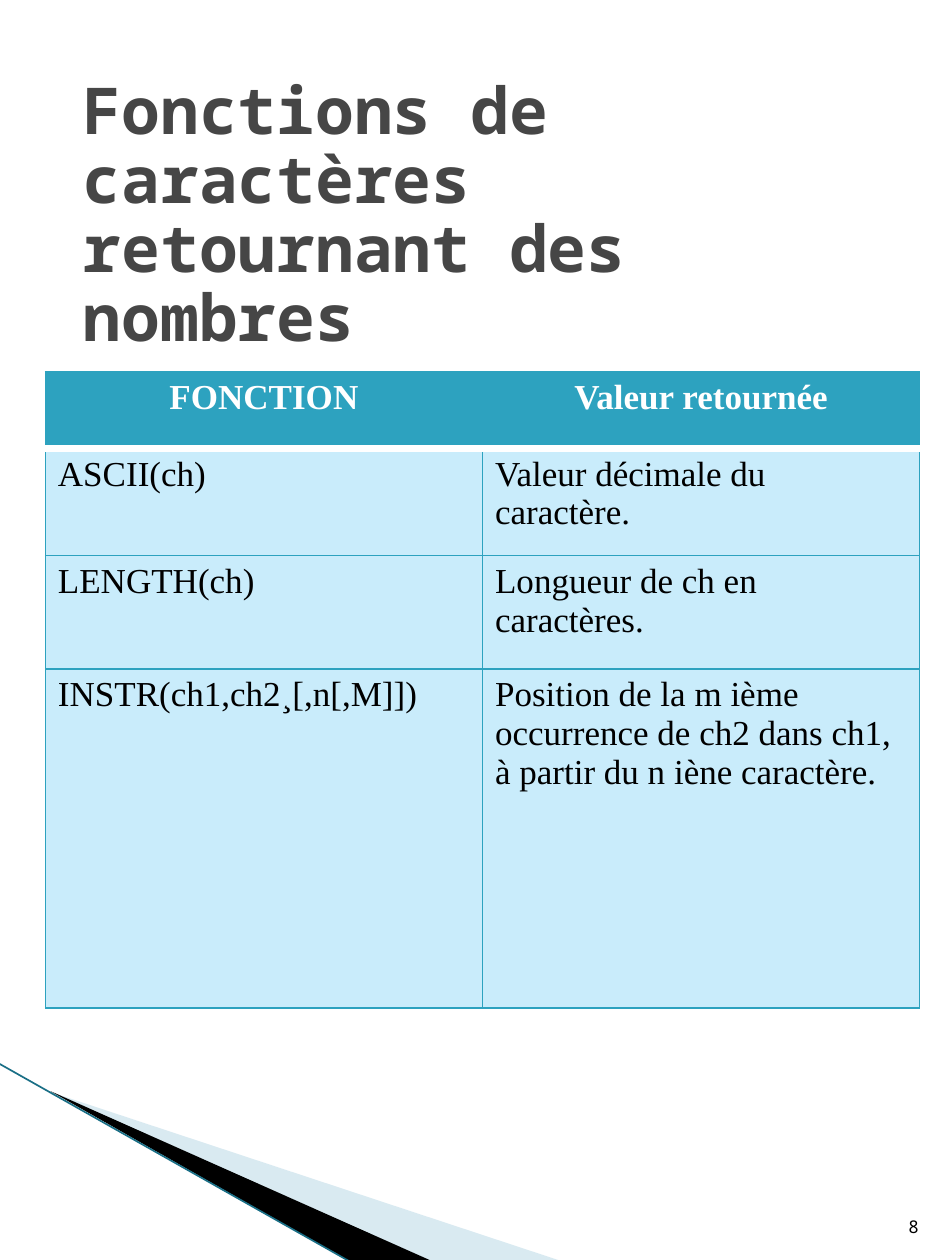
from lxml.etree import SubElement
from pptx import Presentation
from pptx.dml.color import RGBColor
from pptx.enum.shapes import MSO_CONNECTOR
from pptx.enum.text import MSO_ANCHOR, PP_ALIGN
from pptx.oxml import parse_xml
from pptx.oxml.ns import nsdecls, qn
from pptx.util import Inches, Pt

# Content
TITLE = "Fonctions de caractères retournant des nombres"
PAGE_NUMBER = "8"
ROWS = [
    ("FONCTION", "Valeur retournée"),
    ("ASCII(ch)", "Valeur décimale du caractère."),
    ("LENGTH(ch)", "Longueur de ch en caractères."),
    ("INSTR(ch1,ch2¸[,n[,M]])",
     "Position de la m ième occurrence de ch2 dans ch1, à partir du n iène caractère."),
]

# Layout in inches
TABLE_LEFT, TABLE_TOP, COLUMN_WIDTH = 0.36, 2.95, 3.47
ROW_HEIGHTS = [0.61, 0.85, 0.9, 2.69]

# Style
TITLE_FONT, TABLE_FONT = "Noto Sans Mono", "Times New Roman"
TEAL = RGBColor(0x2D, 0xA2, 0xBF)
DARK_TEAL = RGBColor(0x1A, 0x6F, 0x86)
PALE_BLUE = RGBColor(0xC9, 0xEC, 0xFB)
WEDGE_BLUE = RGBColor(0xA0, 0xCB, 0xDC)
GREY = RGBColor(0x46, 0x46, 0x46)
BLACK = RGBColor(0, 0, 0)
WHITE = RGBColor(0xFF, 0xFF, 0xFF)

# Corner decoration: points, colour, opacity in percent
WEDGES = [
    ([(0.41, 8.67), (4.46, 10.01), (3.42, 10.01)], WEDGE_BLUE, 40),
    ([(0.4, 8.66), (3.43, 10.01), (2.79, 10.02)], BLACK, 100),
]
EDGE = [(-0.01, 8.44), (2.79, 10.02)]


def add_run(paragraph, text, font, size, color, bold=False):
    run = paragraph.add_run()
    run.text = text
    run.font.name, run.font.size, run.font.bold = font, Pt(size), bold
    run.font.color.rgb = color


def add_text_box(slide, box, anchor):
    frame = slide.shapes.add_textbox(*map(Inches, box)).text_frame
    frame.word_wrap = True
    frame.vertical_anchor = anchor
    return frame.paragraphs[0]


def add_wedge(slide, points, color, opacity):
    start, *others = [(Inches(x), Inches(y)) for x, y in points]
    builder = slide.shapes.build_freeform(*start)
    builder.add_line_segments(others, close=True)
    shape = builder.convert_to_shape()
    shape.shadow.inherit = False
    shape.fill.solid()
    shape.fill.fore_color.rgb = color
    shape.line.fill.background()
    if opacity < 100:
        color_element = shape.fill._xPr.find(qn("a:solidFill"))[0]
        SubElement(color_element, qn("a:alpha"), val=str(opacity * 1000))


def set_borders(cell, borders):
    for index, (side, color, width) in enumerate(borders):
        cell._tc.get_or_add_tcPr().insert(index, parse_xml(
            f'<a:ln{side} {nsdecls("a")} w="{Pt(width)}"><a:solidFill>'
            f'<a:srgbClr val="{color}"/></a:solidFill></a:ln{side}>'))


def add_function_table(slide):
    columns = len(ROWS[0])
    table = slide.shapes.add_table(
        len(ROWS), columns, Inches(TABLE_LEFT), Inches(TABLE_TOP),
        Inches(COLUMN_WIDTH * columns), Inches(sum(ROW_HEIGHTS))).table
    for column in table.columns:
        column.width = Inches(COLUMN_WIDTH)
    for r, (texts, height) in enumerate(zip(ROWS, ROW_HEIGHTS)):
        table.rows[r].height = Inches(height)
        header = r == 0
        for c, text in enumerate(texts):
            cell = table.cell(r, c)
            cell.fill.solid()
            cell.fill.fore_color.rgb = TEAL if header else PALE_BLUE
            # A thick white rule separates the header from the body
            top = (WHITE, 4.33) if r == 1 else (TEAL, 0.75)
            bottom = (WHITE, 4.33) if header else (TEAL, 0.75)
            set_borders(cell, [("L", TEAL, 0.75), ("R", TEAL, 0.75),
                               ("T", *top), ("B", *bottom)])
            paragraph = cell.text_frame.paragraphs[0]
            if header:
                paragraph.alignment = PP_ALIGN.CENTER
            elif c == 0:
                paragraph.alignment = PP_ALIGN.JUSTIFY
            add_run(paragraph, text, TABLE_FONT, 20,
                    WHITE if header else BLACK, header)


def main():
    presentation = Presentation()
    presentation.slide_width, presentation.slide_height = Inches(7.5), Inches(10)
    slide = presentation.slides.add_slide(presentation.slide_layouts[6])

    # Corner decoration
    for wedge in WEDGES:
        add_wedge(slide, *wedge)
    edge = slide.shapes.add_connector(
        MSO_CONNECTOR.STRAIGHT, *[Inches(v) for point in EDGE for v in point])
    edge.line.color.rgb = DARK_TEAL
    edge.line.width = Pt(0.95)
    SubElement(edge._element.spPr, qn("a:effectLst"))

    # Title
    title = add_text_box(slide, (0.56, 0.89, 6.38, 1.67), MSO_ANCHOR.MIDDLE)
    title.line_spacing = 0.89
    add_run(title, TITLE, TITLE_FONT, 36.9, GREY, True)

    add_function_table(slide)

    # Page number
    number = add_text_box(slide, (7.09, 9.34, 0.3, 0.53), MSO_ANCHOR.BOTTOM)
    number.alignment = PP_ALIGN.RIGHT
    add_run(number, PAGE_NUMBER, TITLE_FONT, 10, BLACK)

    presentation.save("out.pptx")


if __name__ == "__main__":
    main()
